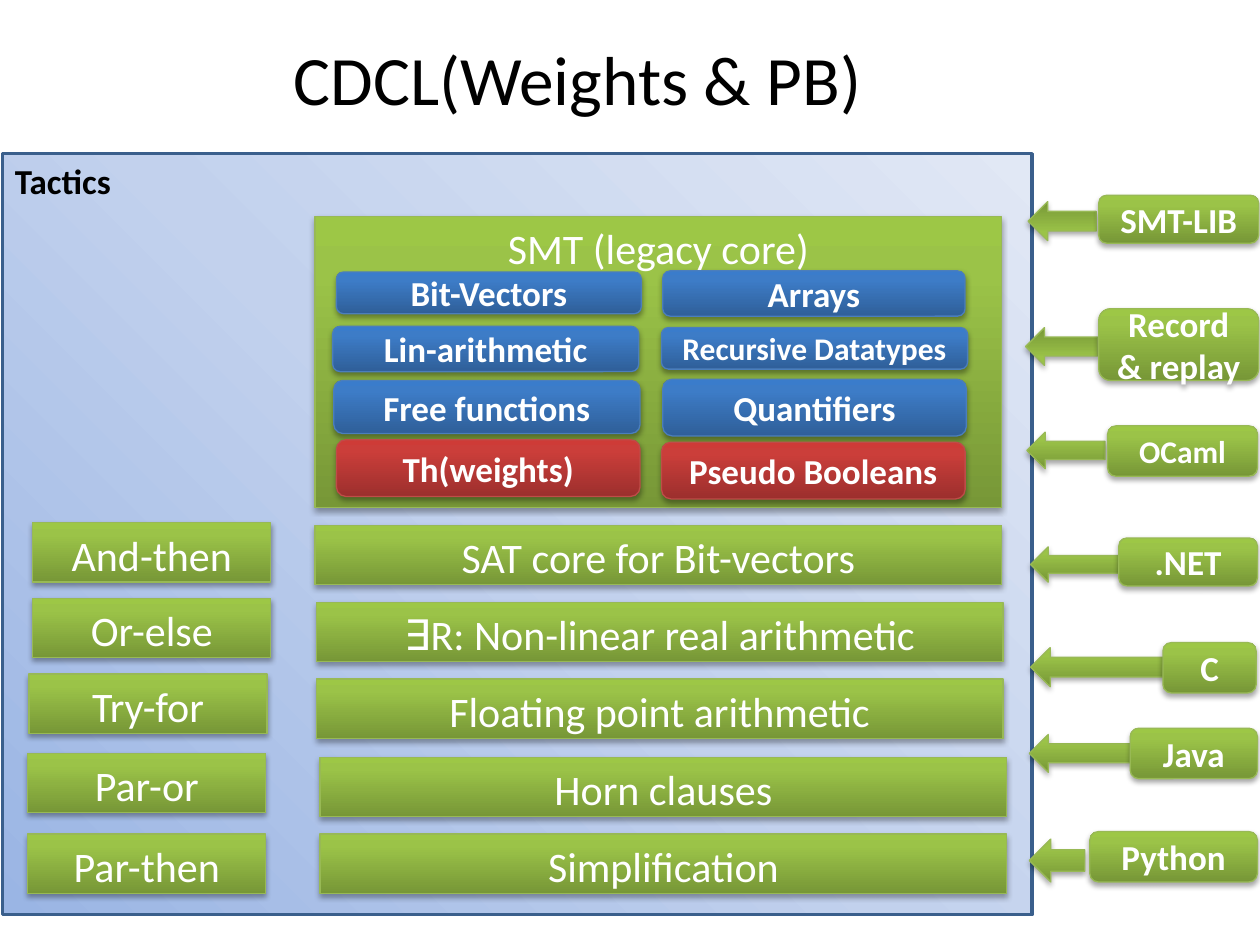
from dataclasses import dataclass

import lxml.etree
import pptx
import pptx.dml.color
import pptx.enum.shapes
import pptx.enum.text
import pptx.oxml.ns
import pptx.util

PX = 9144  # 100 px to the inch
FONT = "Calibri"
COLORS = {
    "black": "000000",
    "white": "FFFFFF",
    "panel line": "3A5F8C",
    "green line": "98B955",
    "blue line": "4B7EBC",
    "red line": "BF4C48",
}
BLENDS = {
    "panel": {0: "9AB5E4", 50: "C2D1ED", 100: "E1E8F5"},
    "green": {0: "779737", 80: "9BC348", 100: "9DC746"},
    "blue": {0: "2F5F99", 80: "3D7CC7", 100: "3A7CCB"},
    "red": {0: "9C2F2D", 80: "CB3E3A", 100: "CE3B37"},
}
KIND = pptx.enum.shapes.MSO_SHAPE
ALIGN = pptx.enum.text.PP_ALIGN
ANCHOR = pptx.enum.text.MSO_ANCHOR


@dataclass
class Box:
    left: int
    top: int
    width: int
    height: int
    text: str = ""
    hue: str = "green"
    size: int = 20
    turned: bool = False


THEORIES = [
    Box(267, 216, 242, 33, "Bit-Vectors", "blue"),
    Box(264, 259, 243, 36, "Lin-arithmetic", "blue"),
    Box(265, 302, 243, 42, "Free functions", "blue"),
    Box(267, 349, 241, 45, "Th(weights)", "red"),
    Box(526, 215, 240, 36, "Arrays", "blue"),
    Box(525, 260, 243, 33, "Recursive Datatypes", "blue", 18),
    Box(526, 301, 241, 45, "Quantifiers", "blue"),
    Box(525, 351, 241, 45, "Pseudo Booleans", "red"),
]
CORES = [
    (250, 417, "SAT core for Bit-vectors"),
    (251, 478, "∃R: Non-linear real arithmetic"),
    (251, 539, "Floating point arithmetic"),
    (254, 601, "Horn clauses"),
    (254, 662, "Simplification"),
]
TACTICS = [
    (26, 415, "And-then"),
    (26, 475, "Or-else"),
    (23, 535, "Try-for"),
    (22, 598, "Par-or"),
    (22, 662, "Par-then"),
]
ARROWS = [
    Box(816, 160, 54, 31, turned=True),
    Box(814, 260, 57, 30, turned=True),
    Box(815, 343, 62, 29),
    Box(818, 434, 70, 28),
    Box(818, 514, 105, 31),
    Box(817, 583, 80, 30),
    Box(817, 666, 44, 34),
]
CLIENTS = [
    Box(872, 155, 127, 38, "SMT-LIB"),
    Box(872, 245, 127, 57, "Record & replay"),
    Box(879, 338, 119, 40, "OCaml", size=18),
    Box(888, 427, 110, 38, ".NET"),
    Box(923, 510, 74, 40, "C"),
    Box(897, 578, 101, 40, "Java"),
    Box(865, 660, 133, 40, "Python"),
]


def rgb(name: str) -> pptx.dml.color.RGBColor:
    return pptx.dml.color.RGBColor.from_string(COLORS[name])


def add(parent, tag: str, **attrs):
    return lxml.etree.SubElement(parent, pptx.oxml.ns.qn(tag), **attrs)


def blend(shape, hue: str, angle: int) -> None:
    """Fill with the three gradient stops of a hue."""
    shape.fill.gradient()
    shape.fill.gradient_angle = angle
    stops = shape._element.spPr.find(".//" + pptx.oxml.ns.qn("a:gsLst"))
    for old in list(stops):
        stops.remove(old)
    for place, color in BLENDS[hue].items():
        stop = add(stops, "a:gs", pos=str(place * 1000))
        add(stop, "a:srgbClr", val=color)


def shade(shape) -> None:
    """Give a soft shadow straight below the shape."""
    effects = shape._element.spPr.find(pptx.oxml.ns.qn("a:effectLst"))
    shadow = add(effects, "a:outerShdw", blurRad="40000", dist="23000",
                 dir="5400000", rotWithShape="0")
    color = add(shadow, "a:srgbClr", val=COLORS["black"])
    add(color, "a:alpha", val="35000")


def write(shape, text: str, size: float, color: str = "white", bold: bool = False,
          align=ALIGN.CENTER, anchor=ANCHOR.MIDDLE) -> None:
    frame = shape.text_frame
    frame.text = text
    frame.word_wrap = True
    frame.auto_size = pptx.enum.text.MSO_AUTO_SIZE.NONE
    frame.vertical_anchor = anchor
    line = frame.paragraphs[0]
    line.alignment = align
    font = line.runs[0].font
    font.name = FONT
    font.size = pptx.util.Pt(size)
    font.bold = bold
    font.color.rgb = rgb(color)


def draw(slide, kind, box: Box, angle: int = 90, width: float = 0.75):
    shape = slide.shapes.add_shape(
        kind, box.left * PX, box.top * PX, box.width * PX, box.height * PX)
    shape.shadow.inherit = False
    blend(shape, box.hue, angle)
    shape.line.color.rgb = rgb(box.hue + " line")
    shape.line.width = pptx.util.Pt(width)
    return shape


def draw_panel(slide) -> None:
    box = Box(2, 122, 817, 604, "Tactics", "panel")
    panel = draw(slide, KIND.RECTANGLE, box, 45, 2)
    write(panel, box.text, box.size, "black", True, ALIGN.LEFT, ANCHOR.TOP)


def draw_block(slide, box: Box) -> None:
    block = draw(slide, KIND.RECTANGLE, box)
    shade(block)
    write(block, box.text, 24, anchor=ANCHOR.TOP)


def draw_label(slide, box: Box) -> None:
    label = draw(slide, KIND.ROUNDED_RECTANGLE, box)
    shade(label)
    write(label, box.text, box.size, bold=True)


def draw_arrow(slide, box: Box) -> None:
    kind = KIND.RIGHT_ARROW if box.turned else KIND.LEFT_ARROW
    arrow = draw(slide, kind, box)
    arrow.rotation = 180 if box.turned else 0
    shade(arrow)


def main() -> None:
    deck = pptx.Presentation()
    deck.slide_width, deck.slide_height = 1000 * PX, 750 * PX
    slide = deck.slides.add_slide(deck.slide_layouts[5])

    draw_panel(slide)
    title = slide.shapes.title
    title.left, title.top = 0, 25 * PX
    title.width, title.height = 917 * PX, 73 * PX
    write(title, "CDCL(Weights & PB)", 39.6, "black")

    draw_block(slide, Box(250, 172, 545, 231, "SMT (legacy core)"))
    for width, rows in ((545, CORES), (189, TACTICS)):
        for left, top, text in rows:
            draw_block(slide, Box(left, top, width, 47, text))
    for arrow in ARROWS:
        draw_arrow(slide, arrow)
    for label in THEORIES + CLIENTS:
        draw_label(slide, label)

    deck.save("out.pptx")


if __name__ == "__main__":
    main()
